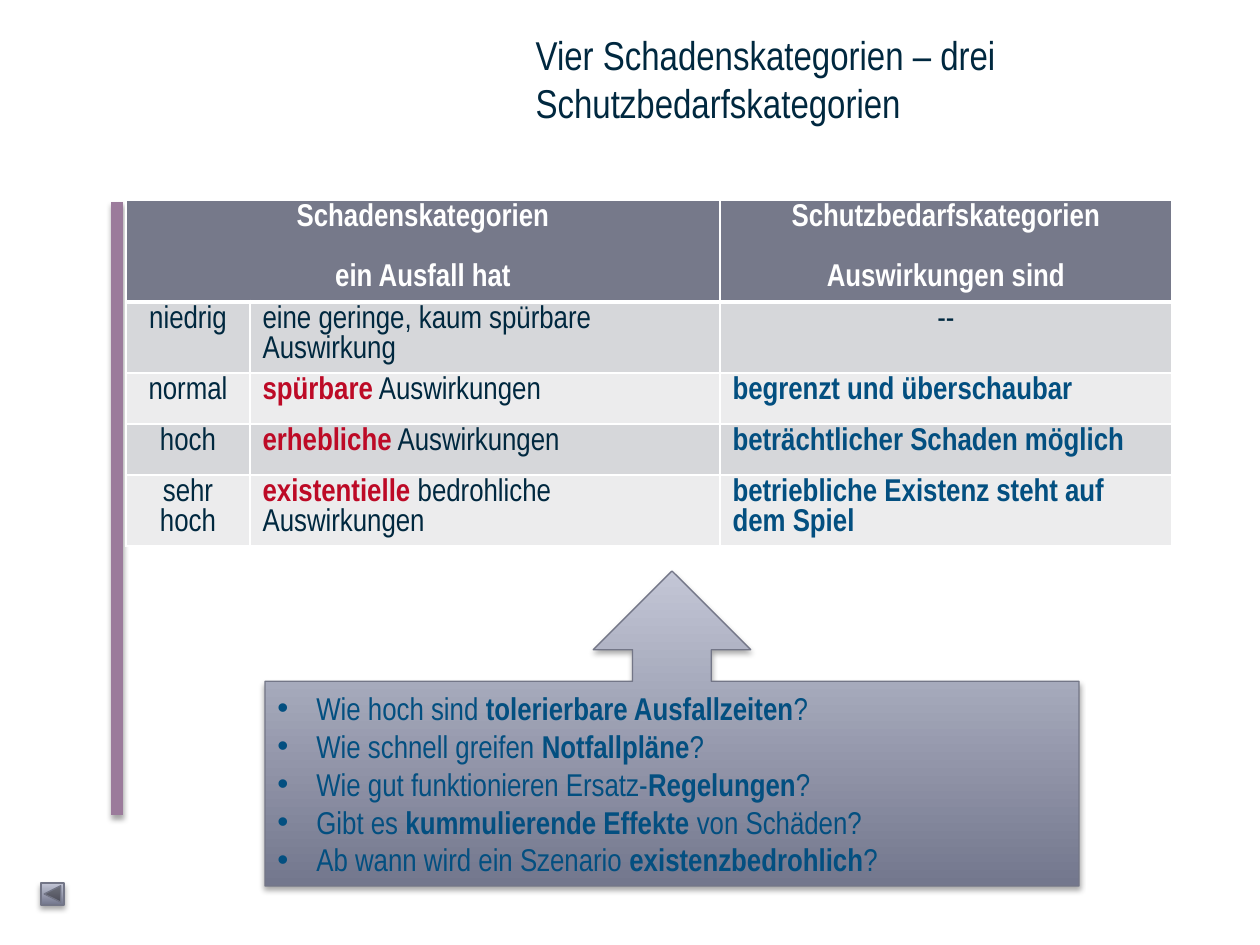
"""Build the slide on damage and protection categories."""
import lxml.etree
import pptx
import pptx.dml.color
import pptx.enum.shapes
import pptx.enum.text
import pptx.oxml.ns
import pptx.util

ALIGN = pptx.enum.text.PP_ALIGN
SHAPE = pptx.enum.shapes.MSO_SHAPE
NAVY, BLUE, RED, WHITE = "00283F", "034F80", "BD0A26", "FFFFFF"
HEADER, BANDS = "76798A", ("D6D7DA", "ECECED")


def px(n):
    return pptx.util.Emu(round(n * 914400 / 126))


def rgb(value):
    return pptx.dml.color.RGBColor.from_string(value)


def add_xml(parent, tag, **attrs):
    attrs = {name: str(value) for name, value in attrs.items()}
    return lxml.etree.SubElement(parent, pptx.oxml.ns.qn(tag), attrs)


class Slide:
    def __init__(self, prs, font="Arial Narrow", size=18):
        self.s = prs.slides.add_slide(prs.slide_layouts[5])
        self.font, self.size = font, size

    def paragraph(self, p, runs, align=ALIGN.LEFT, size=None):
        p.alignment = align
        p.font.name = self.font
        p.font.size = pptx.util.Pt(size or self.size)
        for text, color, bold in runs:
            r = p.add_run()
            r.text = text
            r.font.bold = bold
            r.font.color.rgb = rgb(color)

    def shadow(self, sp):
        effects = add_xml(sp._element.spPr, "a:effectLst")
        outer = add_xml(effects, "a:outerShdw", blurRad=39370, dist=22860,
                        dir=5400000, rotWithShape=0)
        color = add_xml(outer, "a:srgbClr", val="000000")
        add_xml(color, "a:alpha", val=35000)

    def title(self, text, x, y, w, h, size):
        sp = self.s.shapes.title
        sp.left, sp.top, sp.width, sp.height = map(px, (x, y, w, h))
        tf = sp.text_frame
        tf.word_wrap = True
        tf.auto_size = pptx.enum.text.MSO_AUTO_SIZE.NONE
        tf.vertical_anchor = pptx.enum.text.MSO_ANCHOR.TOP
        self.paragraph(tf.paragraphs[0], [(text, NAVY, False)], size=size)

    def line(self, x1, y1, x2, y2, color, width):
        kind = pptx.enum.shapes.MSO_CONNECTOR.STRAIGHT
        sp = self.s.shapes.add_connector(kind, *map(px, (x1, y1, x2, y2)))
        sp.line.color.rgb = rgb(color)
        sp.line.width = pptx.util.Pt(width)
        self.shadow(sp)

    def shape(self, kind, x, y, w, h):
        sp = self.s.shapes.add_shape(kind, *map(px, (x, y, w, h)))
        sp.fill.gradient()
        sp.fill.gradient_angle = 90
        for stop, color in zip(sp.fill.gradient_stops, ("73778D", "C3C6D6")):
            stop.color.rgb = rgb(color)
        sp.line.color.rgb = rgb("737687")
        sp.line.width = pptx.util.Pt(0.75)
        self.shadow(sp)
        return sp

    def bullets(self, sp, items, indent):
        tf = sp.text_frame
        tf.word_wrap = True
        tf.vertical_anchor = pptx.enum.text.MSO_ANCHOR.MIDDLE
        for i, runs in enumerate(items):
            p = tf.add_paragraph() if i else tf.paragraphs[0]
            self.paragraph(p, runs)
            pPr = p._p.get_or_add_pPr()
            pPr.set("marL", str(px(indent)))
            pPr.set("indent", str(-px(indent)))
            bullet = add_xml(pPr, "a:buChar", char="•")
            pPr.insert(0, bullet)
            font = add_xml(pPr, "a:buFont", typeface="Arial")
            pPr.insert(0, font)

    def cell(self, cell, lines, fill, align, bottom=1):
        cell.margin_top = cell.margin_bottom = px(4)
        tcPr = cell._tc.get_or_add_tcPr()
        for side, width in zip("LRTB", (1, 1, 1, bottom)):
            ln = add_xml(tcPr, f"a:ln{side}", w=pptx.util.Pt(width))
            add_xml(add_xml(ln, "a:solidFill"), "a:srgbClr", val=WHITE)
        cell.fill.solid()
        cell.fill.fore_color.rgb = rgb(fill)
        tf = cell.text_frame
        for i, runs in enumerate(lines):
            p = tf.add_paragraph() if i else tf.paragraphs[0]
            p.space_before = pptx.util.Pt(17 if i else 0)
            self.paragraph(p, runs, align)

    def table(self, x, y, widths, heights, head, rows):
        frame = self.s.shapes.add_table(
            len(heights), len(widths),
            *map(px, (x, y, sum(widths), sum(heights))))
        table = frame.table
        for col, width in zip(table.columns, widths):
            col.width = px(width)
        for row, height in zip(table.rows, heights):
            row.height = px(height)
        table.cell(0, 0).merge(table.cell(0, 1))
        for c, texts in enumerate(head):
            lines = [[(text, WHITE, True)] for text in texts]
            self.cell(table.cell(0, c), lines, HEADER, ALIGN.CENTER, bottom=3)
        for i, row in enumerate(rows):
            for c, runs in enumerate(row):
                centred = c == 0 or runs[0][0] == "--"
                align = ALIGN.CENTER if centred else ALIGN.LEFT
                self.cell(table.cell(i + 1, c), [runs], BANDS[i % 2], align)


def plain(text):
    return [(text, NAVY, False)]


def effect(strong, rest):
    return [(strong, RED, True), (rest, NAVY, False)]


def need(text):
    return [(text, BLUE, True)]


def question(start, strong, end):
    return [(start, BLUE, False), (strong, BLUE, True), (end, BLUE, False)]


def main():
    prs = pptx.Presentation()
    prs.slide_width, prs.slide_height = px(1260), px(945)
    slide = Slide(prs)
    slide.line(117, 202, 117, 815, "9B7B9B", 6.5)
    slide.title("Vier Schadenskategorien – drei Schutzbedarfskategorien",
                523, 24, 611, 137, size=23)
    slide.shape(SHAPE.ACTION_BUTTON_BACK_OR_PREVIOUS, 41, 883, 23, 22)
    head = [("Schadenskategorien", "ein Ausfall hat"), (),
            ("Schutzbedarfskategorien", "Auswirkungen sind")]
    rows = [
        (plain("niedrig"), plain("eine geringe, kaum spürbare Auswirkung"),
         plain("--")),
        (plain("normal"), effect("spürbare", " Auswirkungen"),
         need("begrenzt und überschaubar")),
        (plain("hoch"), effect("erhebliche", " Auswirkungen"),
         need("beträchtlicher Schaden möglich")),
        (plain("sehr hoch"),
         effect("existentielle", " bedrohliche Auswirkungen"),
         need("betriebliche Existenz steht auf dem Spiel")),
    ]
    slide.table(126, 200, (124, 470, 452), (102, 71, 51, 51, 71), head, rows)
    callout = slide.shape(SHAPE.UP_ARROW_CALLOUT, 265, 571, 814, 315)
    slide.bullets(callout, [
        question("Wie hoch sind ", "tolerierbare Ausfallzeiten", "?"),
        question("Wie schnell greifen ", "Notfallpläne", "?"),
        question("Wie gut funktionieren Ersatz-", "Regelungen", "?"),
        question("Gibt es ", "kummulierende Effekte ", "von Schäden?"),
        question("Ab wann wird ein Szenario ", "existenzbedrohlich", "?"),
    ], indent=39)
    prs.save("out.pptx")


if __name__ == "__main__":
    main()
